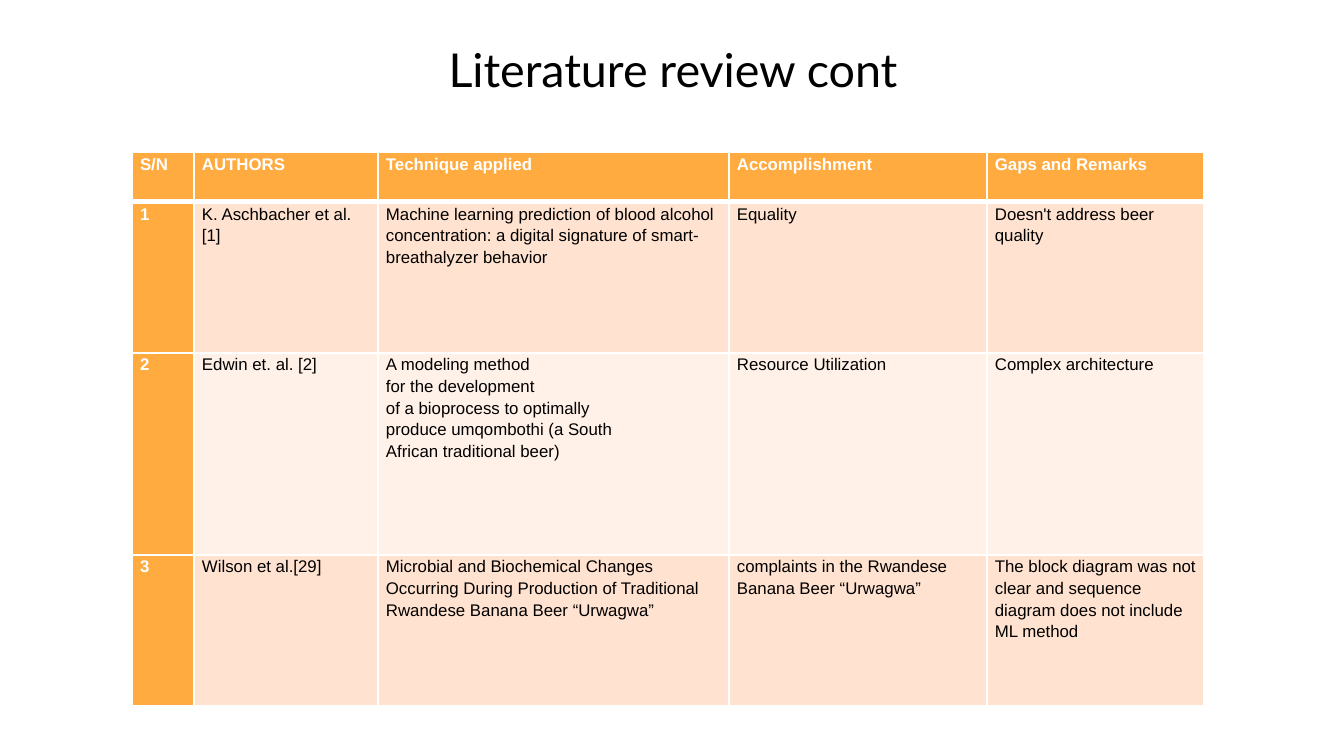
from lxml.etree import SubElement
from pptx import Presentation
from pptx.dml.color import RGBColor
from pptx.enum.text import MSO_ANCHOR as Anchor, PP_ALIGN as Align
from pptx.oxml.ns import qn
from pptx.util import Pt

PX = 914400 / 134.4
WHITE = RGBColor(0xFF, 0xFF, 0xFF)
BLACK = RGBColor(0x00, 0x00, 0x00)
ORANGE = RGBColor(0xFF, 0xAB, 0x40)
PEACH = RGBColor(0xFF, 0xE2, 0xCF)
CREAM = RGBColor(0xFF, 0xF1, 0xE8)

COLUMN_WIDTHS = [62, 184, 351, 258, 217]
ROW_HEIGHTS = [50, 151, 202, 151]
REVIEW = [
    ["S/N", "AUTHORS", "Technique applied", "Accomplishment", "Gaps and Remarks"],
    ["1", "K. Aschbacher et al. [1]",
     "Machine learning prediction of blood alcohol concentration: "
     "a digital signature of smart-breathalyzer behavior",
     "Equality", "Doesn't address beer quality"],
    ["2", "Edwin et. al. [2]",
     "A modeling method\nfor the development\nof a bioprocess to optimally\n"
     "produce umqombothi (a South\nAfrican traditional beer)",
     "Resource Utilization", "Complex architecture"],
    ["3", "Wilson et al.[29]",
     "Microbial and Biochemical Changes Occurring During Production "
     "of Traditional Rwandese Banana Beer “Urwagwa”",
     "complaints in the Rwandese Banana Beer “Urwagwa”",
     "The block diagram was not clear and sequence diagram does not include ML method"],
]


def emu(px):
    """Turn pixels into EMU."""
    return round(px * PX)


def apply(target, values):
    """Set each named attribute on the target."""
    for name, value in values.items():
        setattr(target, name, value)


class ReviewSlide:
    """Hold the style and the current slide."""

    title_font = {"name": "Lato", "size": Pt(25), "bold": False}
    cell_font = {"name": "Arial", "size": Pt(9)}
    title_frame = {"vertical_anchor": Anchor.MIDDLE, "word_wrap": True}
    title_margins = dict.fromkeys(
        ["margin_left", "margin_top", "margin_right", "margin_bottom"], emu(13))
    cell_margins = {"margin_left": emu(8), "margin_right": emu(8),
                    "margin_top": 0, "margin_bottom": 0}

    def __init__(self, deck):
        """Start a slide with a title-only layout."""
        self.slide = deck.slides.add_slide(deck.slide_layouts[5])

    def title(self, text, left, top, width, height):
        """Place and format the title."""
        heading = self.slide.shapes.title
        apply(heading, {"left": emu(left), "top": emu(top),
                        "width": emu(width), "height": emu(height)})
        frame = heading.text_frame
        frame.text = text
        apply(frame, self.title_frame | self.title_margins)
        line = frame.paragraphs[0]
        line.alignment = Align.CENTER
        apply(line.font, self.title_font)
        line.font.color.rgb = BLACK

    def borders(self, cell, widths):
        """Draw white cell borders of the given point widths."""
        properties = cell._tc.get_or_add_tcPr()
        for side, width in widths.items():
            edge = SubElement(properties, qn(f"a:ln{side}"), w=str(Pt(width)))
            fill = SubElement(edge, qn("a:solidFill"))
            SubElement(fill, qn("a:srgbClr"), val=str(WHITE))

    def cell(self, cell, text, fill, color, bold):
        """Write and format one table cell."""
        cell.text = text
        apply(cell, self.cell_margins)
        cell.fill.solid()
        cell.fill.fore_color.rgb = fill
        for line in cell.text_frame.paragraphs:
            line.line_spacing = 1.15
            apply(line.font, self.cell_font | {"bold": bold})
            line.font.color.rgb = color

    def table(self, rows, left, top, widths, heights):
        """Add a table with a strong header row and first column."""
        table = self.slide.shapes.add_table(
            len(rows), len(widths), emu(left), emu(top),
            emu(sum(widths)), emu(sum(heights))).table
        for column, width in zip(table.columns, widths):
            column.width = emu(width)
        for row, height in zip(table.rows, heights):
            row.height = emu(height)
        for r, texts in enumerate(rows):
            band = PEACH if r % 2 else CREAM
            edges = {"L": 1, "R": 1, "T": 3 if r == 1 else 1, "B": 3 if r == 0 else 1}
            for c, text in enumerate(texts):
                strong = r == 0 or c == 0
                cell = table.cell(r, c)
                self.borders(cell, edges)
                self.cell(cell, text, ORANGE if strong else band,
                          WHITE if strong else BLACK, strong)


def main():
    """Build and save the slide."""
    deck = Presentation()
    apply(deck, {"slide_width": emu(1344), "slide_height": emu(756)})
    review = ReviewSlide(deck)
    review.title("Literature review cont", 105, 39, 1136, 59)
    review.table(REVIEW, 132, 152, COLUMN_WIDTHS, ROW_HEIGHTS)
    deck.save("out.pptx")


if __name__ == "__main__":
    main()
